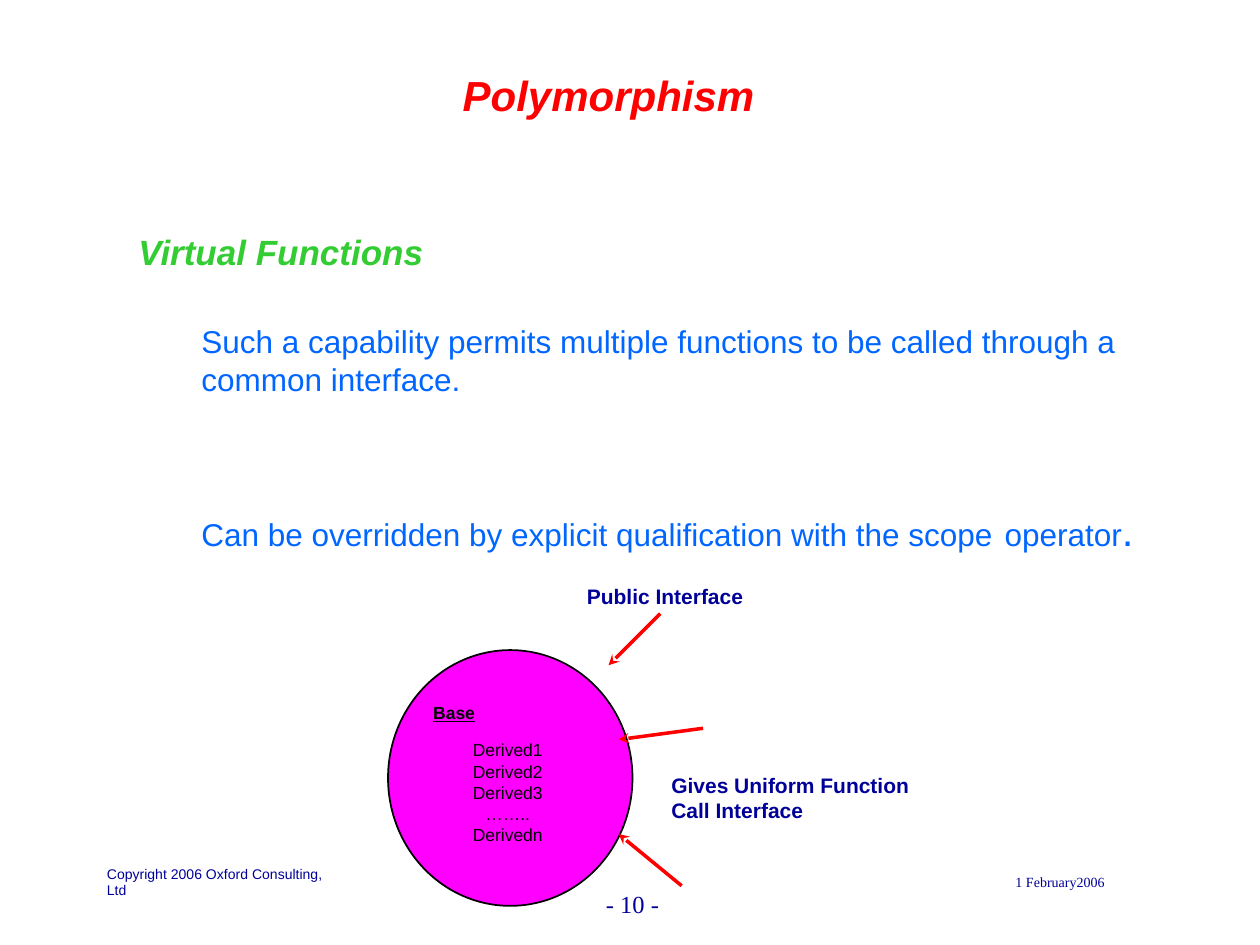
from dataclasses import dataclass

from lxml.etree import SubElement
from pptx import Presentation
from pptx.dml.color import RGBColor
from pptx.enum.shapes import MSO_CONNECTOR, MSO_SHAPE
from pptx.enum.text import MSO_ANCHOR, PP_ALIGN
from pptx.oxml.ns import qn
from pptx.util import Inches, Pt

RED, GREEN, BLUE, NAVY = "FF0000", "33CC33", "0066FF", "000099"
MAGENTA, BLACK = "FF00FF", "000000"


@dataclass
class Label:
    box: tuple[float, float, float, float]
    lines: list[str]
    size: float
    color: str = NAVY
    font: str = "Arial"
    bold: bool = False
    italic: bool = False
    underline: bool = False
    align: PP_ALIGN = PP_ALIGN.LEFT
    anchor: MSO_ANCHOR = MSO_ANCHOR.TOP
    fill: str | None = None


@dataclass
class Arrow:
    start: tuple[float, float]
    end: tuple[float, float]


@dataclass
class BodyLine:
    runs: list[tuple[str, float]]
    line_spacing: float
    space_before: float


def rgb(color: str) -> RGBColor:
    return RGBColor.from_string(color)


def draw_label(slide, label: Label) -> None:
    box = [Inches(v) for v in label.box]
    if label.fill:
        sp = slide.shapes.add_shape(MSO_SHAPE.RECTANGLE, *box)
        sp.shadow.inherit = False
        sp.fill.solid()
        sp.fill.fore_color.rgb = rgb(label.fill)
        sp.line.fill.background()
    else:
        sp = slide.shapes.add_textbox(*box)
    tf = sp.text_frame
    tf.word_wrap = False
    tf.vertical_anchor = label.anchor
    tf.text = "\n".join(label.lines)
    for p in tf.paragraphs:
        p.alignment = label.align
        p.font.name = label.font
        p.font.size = Pt(label.size)
        p.font.bold = label.bold
        p.font.italic = label.italic
        p.font.underline = label.underline
        p.font.color.rgb = rgb(label.color)


def draw_body(slide, heading: str, lines: list[BodyLine]) -> None:
    sp = slide.shapes.add_textbox(Inches(1), Inches(1.78), Inches(8.45), Inches(2.75))
    tf = sp.text_frame
    tf.word_wrap = True
    p = tf.paragraphs[0]
    p.text = heading
    p.font.name, p.font.size = "Arial", Pt(20)
    p.font.bold = p.font.italic = True
    p.font.color.rgb = rgb(GREEN)
    for line in lines:
        p = tf.add_paragraph()
        p.line_spacing = line.line_spacing
        p.space_before = Pt(line.space_before)
        p._p.get_or_add_pPr().set("marL", str(Inches(0.5)))
        p.font.name = "Arial"
        p.font.color.rgb = rgb(BLUE)
        for text, size in line.runs:
            r = p.add_run()
            r.text = text
            r.font.size = Pt(size)


def draw_circle(slide) -> None:
    sp = slide.shapes.add_shape(
        MSO_SHAPE.OVAL, Inches(3.08), Inches(5.16), Inches(1.94), Inches(2.03))
    sp.shadow.inherit = False
    sp.fill.solid()
    sp.fill.fore_color.rgb = rgb(MAGENTA)
    sp.line.color.rgb = rgb(BLACK)
    sp.line.width = Pt(1)


def draw_arrow(slide, arrow: Arrow) -> None:
    ends = [Inches(v) for v in (*arrow.start, *arrow.end)]
    line = slide.shapes.add_connector(MSO_CONNECTOR.STRAIGHT, *ends)
    line.line.color.rgb = rgb(RED)
    line.line.width = Pt(2)
    SubElement(line.line._get_or_add_ln(), qn("a:tailEnd"), type="stealth")
    SubElement(line._element.spPr, qn("a:effectLst"))


BODY = [
    BodyLine([("Such a capability permits multiple functions to be called through a", 18)],
             2.1, 4.5),
    BodyLine([("common interface.", 18)], 0.8, 4.5),
    BodyLine([("Can be overridden by explicit qualification with the scope", 18),
              (" ", 24), ("operator", 18), (".", 24)], 2.1, 29),
]

PAGE_LABELS = [
    Label((0.75, 6.75, 2.08, 0.5), ["Copyright 2006 Oxford Consulting, Ltd"], 8,
          anchor=MSO_ANCHOR.MIDDLE),
    Label((6.83, 6.75, 3.17, 0.5), ["1 February2006"], 8, font="Times New Roman",
          align=PP_ALIGN.CENTER, anchor=MSO_ANCHOR.MIDDLE),
    Label((4.58, 6.92, 0.75, 0.5), ["- 10 -"], 14, font="Times New Roman",
          align=PP_ALIGN.RIGHT, anchor=MSO_ANCHOR.MIDDLE),
    Label((0.58, 0.33, 8.5, 0.67), ["Polymorphism"], 24, RED, bold=True, italic=True,
          align=PP_ALIGN.CENTER, anchor=MSO_ANCHOR.BOTTOM),
]

DIAGRAM_LABELS = [
    Label((3.34, 5.52, 0.53, 0.27), ["Base"], 10, BLACK, bold=True, underline=True,
          fill=MAGENTA),
    Label((3.65, 5.82, 0.76, 0.94),
          ["Derived1", "Derived2", "Derived3", "……..", "Derivedn"], 10, BLACK,
          align=PP_ALIGN.CENTER, fill=MAGENTA),
    Label((4.56, 4.58, 1.44, 0.3), ["Public Interface"], 12, bold=True),
    Label((5.23, 6.08, 2.09, 0.5), ["Gives Uniform Function", "Call Interface"], 12,
          bold=True),
]

ARROWS = [
    Arrow((5.24, 4.87), (4.83, 5.28)),
    Arrow((5.58, 5.78), (4.91, 5.87)),
    Arrow((5.41, 7.03), (4.91, 6.62)),
]


def main() -> None:
    prs = Presentation()
    prs.slide_width, prs.slide_height = Inches(10), Inches(7.5)
    s = prs.slides.add_slide(prs.slide_layouts[6])

    # Title, footer and body text
    for label in PAGE_LABELS:
        draw_label(s, label)
    draw_body(s, "Virtual Functions", BODY)

    # Class diagram with arrows to its interface
    draw_circle(s)
    for label in DIAGRAM_LABELS:
        draw_label(s, label)
    for arrow in ARROWS:
        draw_arrow(s, arrow)

    prs.save("out.pptx")


if __name__ == "__main__":
    main()
